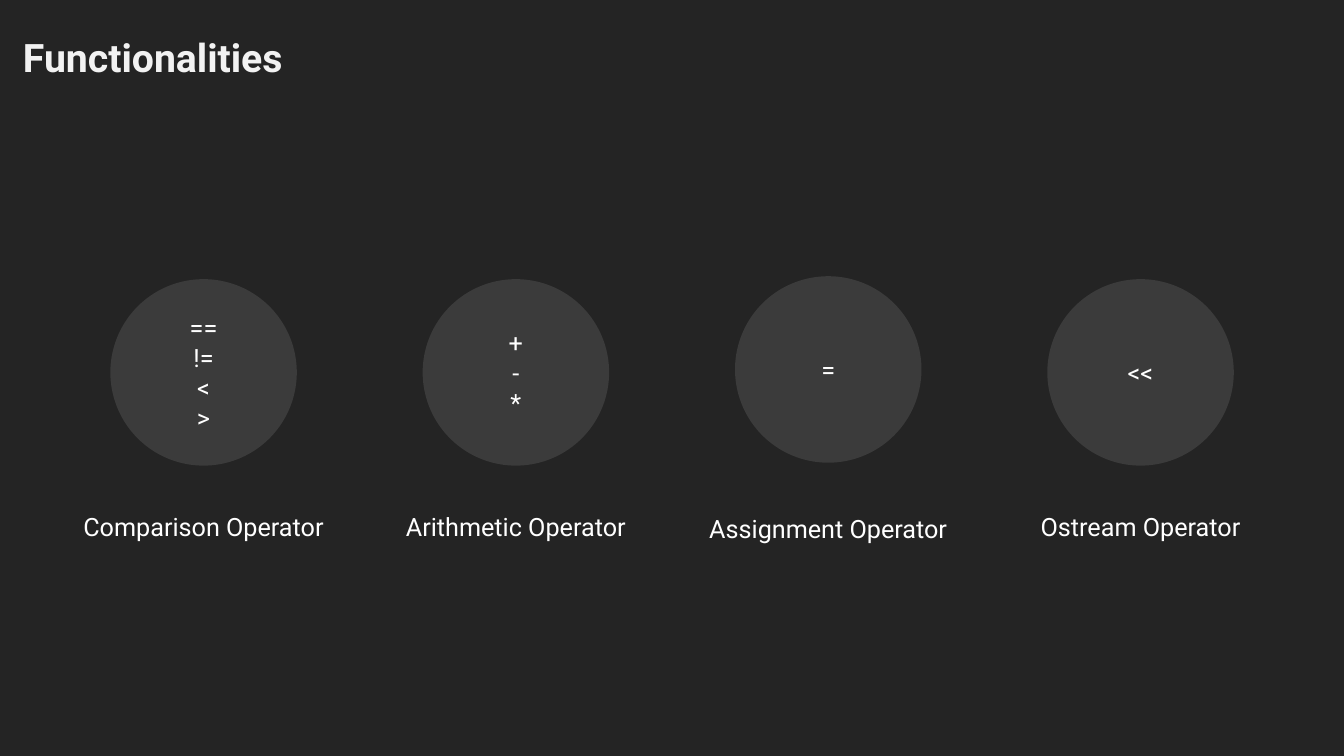
"""Build the Functionalities slide: four operator groups in circles with labels."""
import pptx
import pptx.util
import pptx.dml.color
import pptx.enum.shapes
import pptx.enum.text

Pt = pptx.util.Pt
RGBColor = pptx.dml.color.RGBColor
MSO_ANCHOR = pptx.enum.text.MSO_ANCHOR
MSO_AUTO_SIZE = pptx.enum.text.MSO_AUTO_SIZE
PP_ALIGN = pptx.enum.text.PP_ALIGN

TITLE = "Functionalities"
OPERATORS = [
    {"label": "Comparison Operator", "symbols": ["==", "!=", "<", ">"], "circle_top": 199.4, "label_top": 362},
    {"label": "Arithmetic Operator", "symbols": ["+", "-", "*"], "circle_top": 199.4, "label_top": 362},
    {"label": "Assignment Operator", "symbols": ["="], "circle_top": 197.3, "label_top": 363.2},
    {"label": "Ostream Operator", "symbols": ["<<"], "circle_top": 199.4, "label_top": 362},
]

FONT = "Roboto"
BACKGROUND = RGBColor(0x24, 0x24, 0x24)
CIRCLE_FILL = RGBColor(0x3B, 0x3B, 0x3B)
TITLE_COLOR = RGBColor(0xF2, 0xF2, 0xF2)
TEXT_COLOR = RGBColor(0xFF, 0xFF, 0xFF)

FIRST_CENTER = 145.4
PITCH = 223.1
DIAMETER = 133.2
LABEL_WIDTH = 226.8
LABEL_HEIGHT = 29


def add_text(paragraph, text, size, color, bold=False):
    run = paragraph.add_run()
    run.text = text
    run.font.name = FONT
    run.font.size = Pt(size)
    run.font.bold = bold
    run.font.color.rgb = color


def fill_centered(text_frame, lines):
    text_frame.word_wrap = True
    for index, line in enumerate(lines):
        paragraph = text_frame.add_paragraph() if index else text_frame.paragraphs[0]
        paragraph.alignment = PP_ALIGN.CENTER
        add_text(paragraph, line, 18, TEXT_COLOR)


def add_title(slide):
    title = slide.shapes.title
    title.left, title.top, title.width, title.height = Pt(9.2), Pt(0), Pt(226.8), Pt(55.4)
    text_frame = title.text_frame
    text_frame.word_wrap = False
    text_frame.auto_size = MSO_AUTO_SIZE.SHAPE_TO_FIT_TEXT
    text_frame.vertical_anchor = MSO_ANCHOR.TOP
    paragraph = text_frame.paragraphs[0]
    paragraph.alignment = PP_ALIGN.LEFT
    paragraph.line_spacing = 1.6
    add_text(paragraph, TITLE, 28, TITLE_COLOR, bold=True)


def add_operator(slide, operator, center):
    group = slide.shapes.add_group_shape()
    circle = group.shapes.add_shape(
        pptx.enum.shapes.MSO_SHAPE.OVAL,
        Pt(center - DIAMETER / 2), Pt(operator["circle_top"]), Pt(DIAMETER), Pt(DIAMETER))
    circle.shadow.inherit = False
    circle.fill.solid()
    circle.fill.fore_color.rgb = CIRCLE_FILL
    circle.line.fill.background()
    circle.text_frame.vertical_anchor = MSO_ANCHOR.MIDDLE
    fill_centered(circle.text_frame, operator["symbols"])

    label = group.shapes.add_textbox(
        Pt(center - LABEL_WIDTH / 2), Pt(operator["label_top"]), Pt(LABEL_WIDTH), Pt(LABEL_HEIGHT))
    label.text_frame.auto_size = MSO_AUTO_SIZE.SHAPE_TO_FIT_TEXT
    fill_centered(label.text_frame, [operator["label"]])


def main():
    presentation = pptx.Presentation()
    presentation.slide_width, presentation.slide_height = Pt(960), Pt(540)
    slide = presentation.slides.add_slide(presentation.slide_layouts.get_by_name("Title Only"))
    slide.background.fill.solid()
    slide.background.fill.fore_color.rgb = BACKGROUND
    add_title(slide)
    for index, operator in enumerate(OPERATORS):
        add_operator(slide, operator, FIRST_CENTER + index * PITCH)
    presentation.save("out.pptx")


if __name__ == "__main__":
    main()
